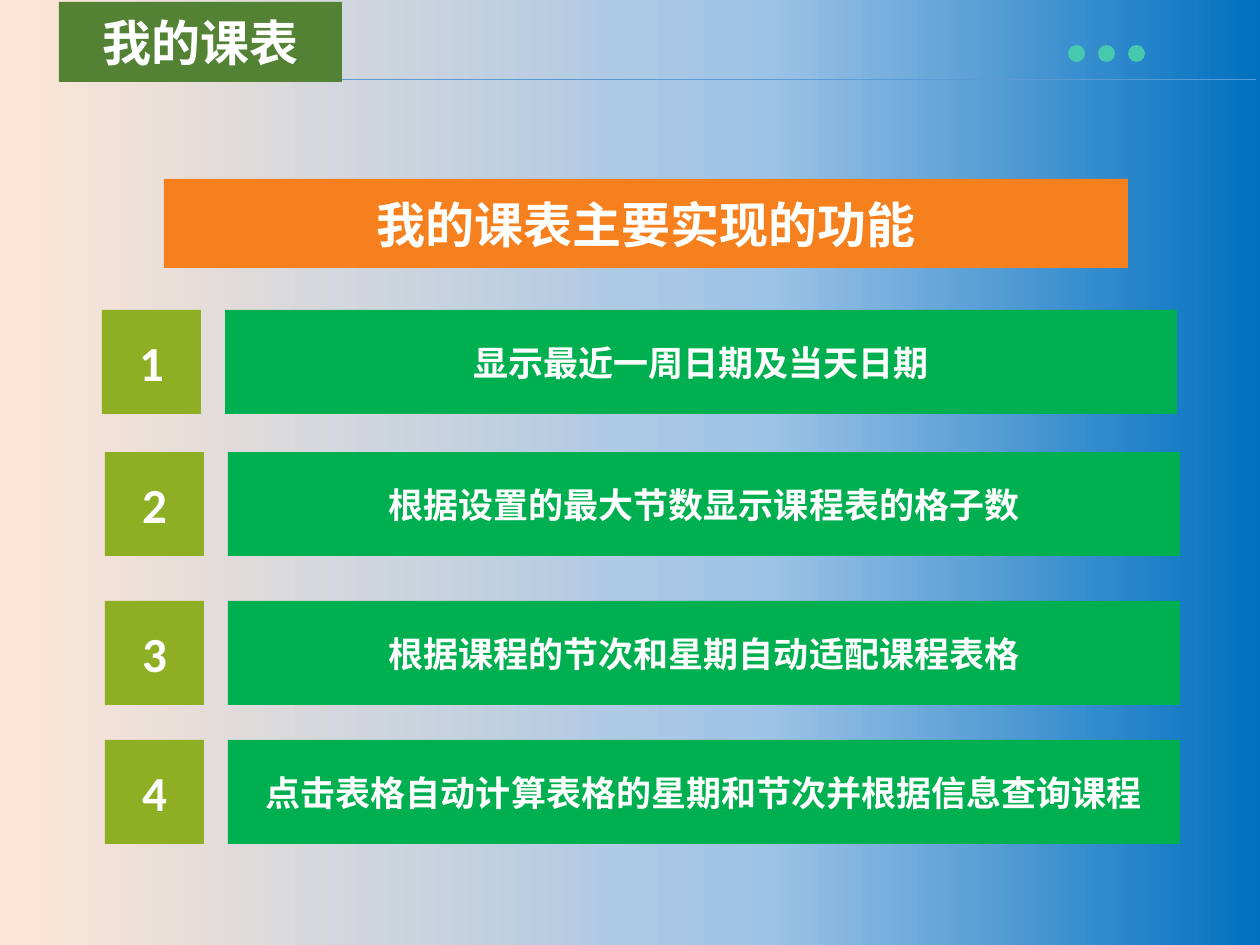
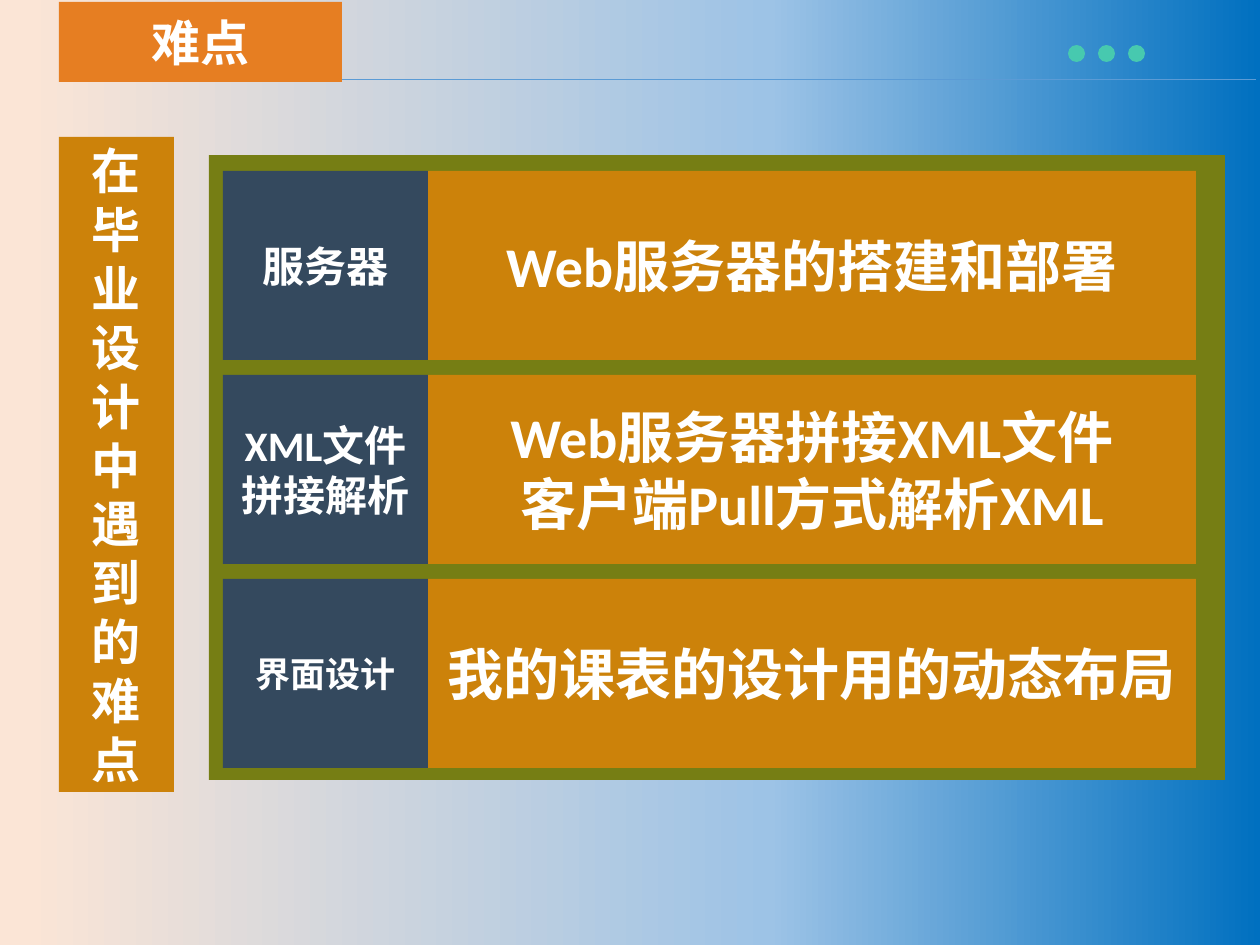
from collections import namedtuple

from pptx import Presentation
from pptx.dml.color import RGBColor
from pptx.enum.shapes import MSO_CONNECTOR as Line, MSO_SHAPE as Shape
from pptx.enum.text import MSO_ANCHOR as Anchor, MSO_AUTO_SIZE as AutoSize, PP_ALIGN as Align
from pptx.oxml import parse_xml
from pptx.oxml.ns import nsdecls
from pptx.util import Emu, Pt

PX = 914400 / 126
FONT = "Calibri"
TITLE_ONLY = 5

WHITE = RGBColor(0xFF, 0xFF, 0xFF)
RULE_BLUE = RGBColor(0x5B, 0x9B, 0xD5)
DOT_TEAL = RGBColor(0x47, 0xC9, 0xAF)
TITLE_GREEN = RGBColor(0x54, 0x82, 0x35)
TITLE_ORANGE = RGBColor(0xE6, 0x7E, 0x22)
HEADING_ORANGE = RGBColor(0xF7, 0x80, 0x1E)
NUMBER_LIME = RGBColor(0x8E, 0xAF, 0x23)
FEATURE_GREEN = RGBColor(0x00, 0xB0, 0x50)
AMBER = RGBColor(0xCC, 0x82, 0x0A)
FRAME_OLIVE = RGBColor(0x76, 0x7E, 0x14)
LABEL_NAVY = RGBColor(0x34, 0x49, 0x5E)
BACKGROUND_STOPS = [
    (0, RGBColor(0x00, 0x70, 0xC0)),
    (39, RGBColor(0x9D, 0xC3, 0xE6)),
    (98, RGBColor(0xFB, 0xE5, 0xD6)),
]

Box = namedtuple("Box", "left top width height")


def px(length):
    return Emu(round(length * PX))


def fill_solid(shape, color):
    shape.fill.solid()
    shape.fill.fore_color.rgb = color


def write(shape, text, size):
    """Centred bold white text, one paragraph a line."""
    frame = shape.text_frame
    frame.text = text
    frame.word_wrap = True
    frame.auto_size = AutoSize.NONE
    frame.vertical_anchor = Anchor.MIDDLE
    for para in frame.paragraphs:
        para.alignment = Align.CENTER
        para.font.name = FONT
        para.font.size = Pt(size)
        para.font.bold = True
        para.font.color.rgb = WHITE


def add_block(page, box, color, text="", size=28, kind=Shape.RECTANGLE):
    block = page.shapes.add_shape(kind, *map(px, box))
    block.shadow.inherit = False
    fill_solid(block, color)
    block.line.fill.background()
    if text:
        write(block, text, size)
    return block


def set_background(master):
    fill = master.background.fill
    fill.gradient()
    fill.gradient_angle = 180
    stop_list = master.element.xpath(".//p:bg//a:gsLst")[0]
    for stop in list(stop_list):
        stop_list.remove(stop)
    for percent, color in BACKGROUND_STOPS:
        stop_list.append(parse_xml(
            f'<a:gs {nsdecls("a")} pos="{percent * 1000}"><a:srgbClr val="{color}"/></a:gs>'))


def add_page(deck, title, color):
    """New page with its title band, thin rule and three dots."""
    page = deck.slides.add_slide(deck.slide_layouts[TITLE_ONLY])
    band = page.shapes.title
    band.left, band.top, band.width, band.height = map(px, (59, 2, 283, 80))
    fill_solid(band, color)
    write(band, title, 28)

    rule = page.shapes.add_connector(Line.STRAIGHT, px(342), px(79), px(1256), px(79))
    rule.line.color.rgb = RULE_BLUE
    rule.line.width = Pt(0.5)
    rule._element.spPr.append(parse_xml(f'<a:effectLst {nsdecls("a")}/>'))

    for index in range(3):
        add_block(page, Box(1068 + 30 * index, 45, 17, 17), DOT_TEAL, kind=Shape.OVAL)
    return page


def add_feature(page, box, number, text):
    """Number tile on the left, feature bar on the right."""
    tile_width, bar_offset = 99, 123
    add_block(page, box._replace(width=tile_width), NUMBER_LIME, str(number))
    bar = box._replace(left=box.left + bar_offset, width=box.width - bar_offset)
    add_block(page, bar, FEATURE_GREEN, text, 20)


def add_difficulty_panel(page, box, rows):
    """Olive frame holding rows of a navy label and an amber description."""
    add_block(page, box, FRAME_OLIVE)
    label_width, text_width, row_height, pitch = 205, 768, 189, 204
    left = box.left + 14
    for index, (label, label_size, text) in enumerate(rows):
        top = box.top + 16 + pitch * index
        add_block(page, Box(left + label_width, top, text_width, row_height), AMBER, text, 32)
        add_block(page, Box(left, top, label_width, row_height), LABEL_NAVY, label, label_size)


def build_timetable_page(deck):
    page = add_page(deck, "我的课表", TITLE_GREEN)
    features = [
        (102, 310, "显示最近一周日期及当天日期"),
        (105, 452, "根据设置的最大节数显示课程表的格子数"),
        (105, 601, "根据课程的节次和星期自动适配课程表格"),
        (105, 740, "点击表格自动计算表格的星期和节次并根据信息查询课程"),
    ]
    for number, (left, top, text) in enumerate(features, start=1):
        add_feature(page, Box(left, top, 1075, 104), number, text)
    add_block(page, Box(164, 179, 964, 89), HEADING_ORANGE, "我的课表主要实现的功能")


def build_difficulties_page(deck):
    page = add_page(deck, "难点", TITLE_ORANGE)
    add_block(page, Box(59, 137, 115, 655), AMBER, "在毕业设计中遇到的难点")
    add_difficulty_panel(page, Box(209, 155, 1016, 625), [
        ("服务器", 24, "Web服务器的搭建和部署"),
        ("XML文件拼接解析", 24, "Web服务器拼接XML文件\n客户端Pull方式解析XML"),
        ("界面设计", 20, "我的课表的设计用的动态布局"),
    ])


def main():
    deck = Presentation()
    deck.slide_width, deck.slide_height = px(1260), px(945)
    set_background(deck.slide_master)
    build_timetable_page(deck)
    build_difficulties_page(deck)
    deck.save("out.pptx")


if __name__ == "__main__":
    main()
